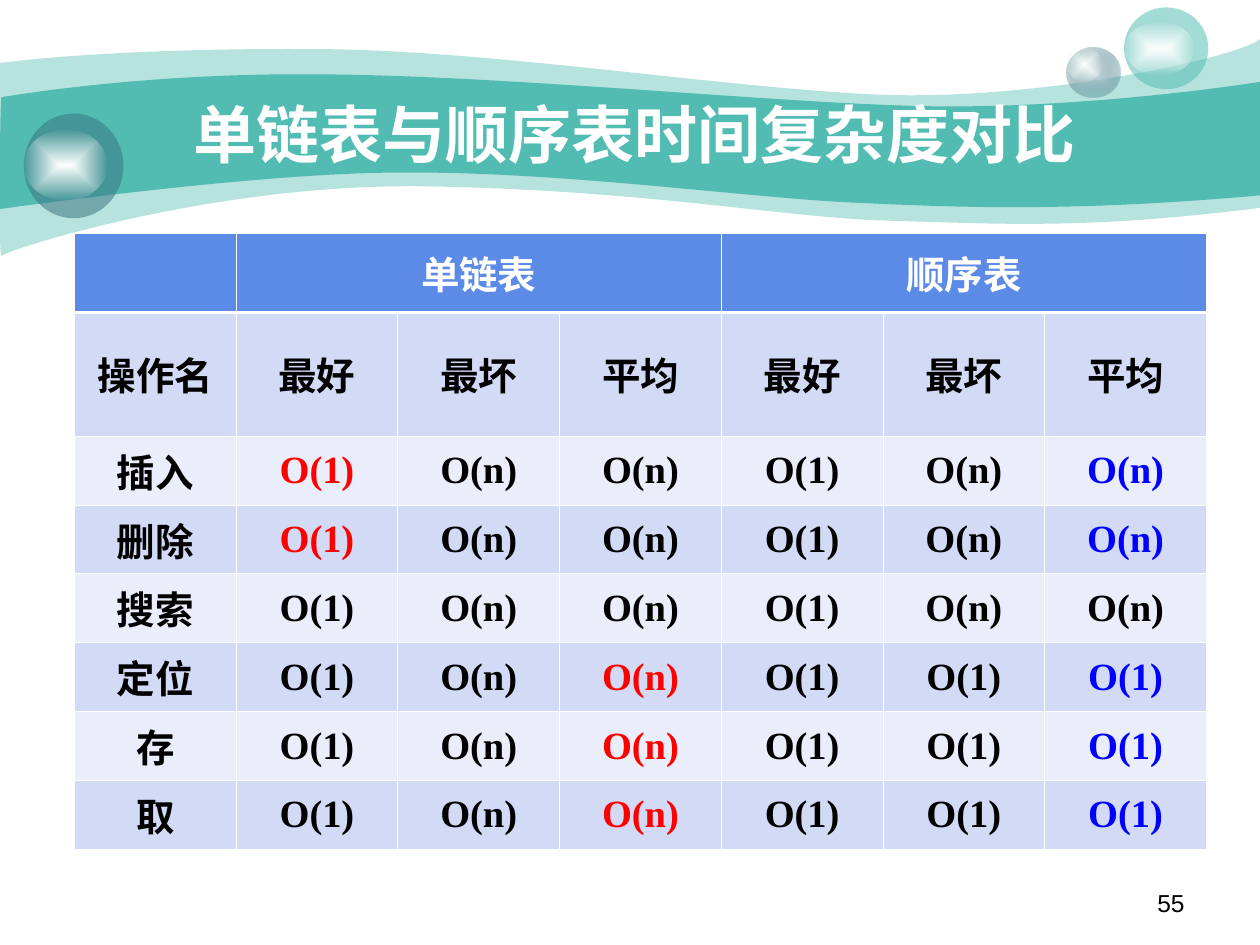
from dataclasses import dataclass
from typing import Optional

import lxml.etree
import pptx
import pptx.dml.color
import pptx.enum.shapes
import pptx.enum.text
import pptx.oxml
import pptx.oxml.ns
import pptx.util

Cm = pptx.util.Cm
Pt = pptx.util.Pt
RGBColor = pptx.dml.color.RGBColor
qn = pptx.oxml.ns.qn
Align = pptx.enum.text.PP_ALIGN
Anchor = pptx.enum.text.MSO_ANCHOR

TEAL = RGBColor(0x52, 0xBC, 0xB2)
DEEP_TEAL = RGBColor(0x37, 0x73, 0x7F)
PALE_GREY = RGBColor(0xCC, 0xDB, 0xDE)
WHITE = RGBColor(0xFF, 0xFF, 0xFF)
BLACK = RGBColor(0x00, 0x00, 0x00)
RED = RGBColor(0xFF, 0x00, 0x00)
BLUE = RGBColor(0x00, 0x00, 0xFF)
HEADER_BLUE = RGBColor(0x5C, 0x8A, 0xE7)
BAND_DARK = RGBColor(0xD2, 0xDA, 0xF6)
BAND_LIGHT = RGBColor(0xEA, 0xED, 0xFA)

SERIF = "Times New Roman"
THIN, THICK = 0.45, 1.47
COLUMN_WIDTH = 3.26
ROW_HEIGHTS = [1.6, 2.49] + [1.39] * 6


@dataclass
class Wave:
    """An outline in cm: segments of one point are lines, of three are curves."""
    start: tuple
    segments: list
    opacity: int


@dataclass
class Ball:
    """Boxes are left, top, width, height in cm."""
    box: tuple
    shine: tuple
    color: RGBColor
    opacity: int
    center: Optional[RGBColor] = None


@dataclass
class Operation:
    name: str
    costs: str
    red: Optional[int] = None
    blue: Optional[int] = None


WAVES = [
    Wave((0, 1.27), [
        [(0.61, 1.19), (2.72, 0.97), (6.27, 0.99)],
        [(9.8, 0.99), (14.61, 1.78), (17.75, 1.91)],
        [(20.88, 2.03), (24.89, 1.19), (25.4, 0.79)],
        [(25.4, 4.19)],
        [(21.79, 4.65), (19.99, 4.5), (17.91, 4.45)],
        [(15.8, 4.39), (13.08, 3.84), (8.71, 3.76)],
        [(4.37, 3.66), (0.1, 5.05), (0.03, 5.16)],
        [(-0.03, 5.28), (0, 1.91), (0, 1.27)],
    ], 41),
    Wave((0.03, 1.96), [
        [(0.05, 1.96), (2.79, 1.47), (6.3, 1.5)],
        [(9.8, 1.5), (15.11, 2.03), (18.24, 2.13)],
        [(21.36, 2.24), (24.79, 1.75), (25.4, 1.65)],
        [(25.4, 3.94)],
        [(21.67, 4.27), (19.43, 4.19), (17.32, 4.09)],
        [(15.21, 4.01), (11.35, 3.45), (8.05, 3.48)],
        [(5.16, 3.48), (-0.05, 4.22), (-0.03, 4.22)],
        [(0, 4.22), (0, 1.96), (0.03, 1.96)],
    ], 100),
]

BALLS = [
    Ball((21.51, 0.95, 1.07, 1.02), (21.51, 0.95, 0.71, 0.69), DEEP_TEAL, 31, PALE_GREY),
    Ball((22.66, 0.15, 1.7, 1.65), (22.66, 0.43, 1.42, 1.09), TEAL, 53),
    Ball((0.48, 2.29, 2.01, 2.11), (0.48, 2.62, 1.68, 1.42), DEEP_TEAL, 53),
]

OPERATIONS = [
    Operation("插入", "1nn1nn", red=1, blue=6),
    Operation("删除", "1nn1nn", red=1, blue=6),
    Operation("搜索", "1nn1nn"),
    Operation("定位", "1nn111", red=3, blue=6),
    Operation("存", "1nn111", red=3, blue=6),
    Operation("取", "1nn111", red=3, blue=6),
]


def fill_solid(shape, color: RGBColor, opacity: int) -> None:
    shape.shadow.inherit = False
    shape.line.fill.background()
    shape.fill.solid()
    shape.fill.fore_color.rgb = color
    if opacity < 100:
        color_element = shape.element.spPr.find(qn("a:solidFill"))[0]
        lxml.etree.SubElement(color_element, qn("a:alpha"), val=str(opacity * 1000))


def fill_radial(shape, center: RGBColor, edge: RGBColor, edge_opacity: int) -> None:
    fill_solid(shape, center, 100)
    solid = shape.element.spPr.find(qn("a:solidFill"))
    gradient = pptx.oxml.parse_xml(
        '<a:gradFill xmlns:a="http://schemas.openxmlformats.org/drawingml/2006/main"><a:gsLst>'
        f'<a:gs pos="0"><a:srgbClr val="{center}"/></a:gs>'
        f'<a:gs pos="100000"><a:srgbClr val="{edge}"><a:alpha val="{edge_opacity * 1000}"/>'
        '</a:srgbClr></a:gs></a:gsLst><a:path path="rect">'
        '<a:fillToRect l="50000" t="50000" r="50000" b="50000"/></a:path></a:gradFill>')
    shape.element.spPr.replace(solid, gradient)


def draw_wave(slide, wave: Wave) -> None:
    builder = slide.shapes.build_freeform(*map(Cm, wave.start), scale=1.0)
    points = [point for segment in wave.segments for point in segment]
    builder.add_line_segments([(Cm(x), Cm(y)) for x, y in points], close=True)
    shape = builder.convert_to_shape()
    # Join the three points of each curved segment into one Bézier curve
    lines = iter(list(shape.element.iter(qn("a:lnTo"))))
    for segment in wave.segments:
        members = [next(lines) for _ in segment]
        if len(members) == 3:
            curve = lxml.etree.Element(qn("a:cubicBezTo"))
            members[0].addprevious(curve)
            for member in members:
                curve.append(member[0])
                member.getparent().remove(member)
    fill_solid(shape, TEAL, wave.opacity)


def draw_ball(slide, ball: Ball) -> None:
    group = slide.shapes.add_group_shape()
    body, shine = (
        group.shapes.add_shape(pptx.enum.shapes.MSO_SHAPE.OVAL, *map(Cm, box))
        for box in (ball.box, ball.shine))
    if ball.center is None:
        fill_solid(body, ball.color, ball.opacity)
    else:
        fill_radial(body, ball.center, ball.color, ball.opacity)
    fill_radial(shine, WHITE, WHITE, 0)


def write(text_frame, text: str, size: int, color: RGBColor, align,
          font: str = SERIF, bold: bool = True) -> None:
    paragraph = text_frame.paragraphs[0]
    paragraph.text = text
    paragraph.alignment = align
    paragraph.font.name = font
    paragraph.font.size = Pt(size)
    paragraph.font.bold = bold
    paragraph.font.color.rgb = color


def style_cell(cell, row: int, fill: RGBColor) -> None:
    properties = cell._tc.get_or_add_tcPr()
    thick_side = {0: "lnB", 1: "lnT"}.get(row)
    for side in ("lnL", "lnR", "lnT", "lnB"):
        width = Pt(THICK if side == thick_side else THIN)
        border = lxml.etree.SubElement(properties, qn(f"a:{side}"), w=str(width))
        solid = lxml.etree.SubElement(border, qn("a:solidFill"))
        lxml.etree.SubElement(solid, qn("a:srgbClr"), val=str(WHITE))
    cell.fill.solid()
    cell.fill.fore_color.rgb = fill
    cell.vertical_anchor = Anchor.MIDDLE


def draw_table(slide) -> None:
    rows = [["", "单链表", "", "", "顺序表", "", ""],
            ["操作名"] + ["最好", "最坏", "平均"] * 2]
    rows += [[item.name] + [f"O({cost})" for cost in item.costs] for item in OPERATIONS]
    table = slide.shapes.add_table(
        len(rows), 7, Cm(1.5), Cm(4.7), Cm(7 * COLUMN_WIDTH), Cm(sum(ROW_HEIGHTS))).table
    for column in table.columns:
        column.width = Cm(COLUMN_WIDTH)
    for row, texts in enumerate(rows):
        table.rows[row].height = Cm(ROW_HEIGHTS[row])
        fill = HEADER_BLUE if row == 0 else (BAND_DARK if row % 2 else BAND_LIGHT)
        accents = {}
        if row >= 2:
            accents = {OPERATIONS[row - 2].red: RED, OPERATIONS[row - 2].blue: BLUE}
        for column, text in enumerate(texts):
            cell = table.cell(row, column)
            style_cell(cell, row, fill)
            if text:
                color = WHITE if row == 0 else accents.get(column, BLACK)
                write(cell.text_frame, text, 22, color, Align.CENTER)
    for first in (1, 4):
        table.cell(0, first).merge(table.cell(0, first + 2))


def main() -> None:
    presentation = pptx.Presentation()
    presentation.slide_width, presentation.slide_height = Cm(25.4), Cm(19.05)
    slide = presentation.slides.add_slide(presentation.slide_layouts[5])

    # Banner
    for wave in WAVES:
        draw_wave(slide, wave)
    for ball in BALLS:
        draw_ball(slide, ball)

    # Slide number
    number = slide.shapes.add_textbox(Cm(18.21), Cm(17.78), Cm(5.92), Cm(0.89))
    number.text_frame.word_wrap = True
    write(number.text_frame, "55", 14, BLACK, Align.RIGHT, font="Arial", bold=False)

    # Title, brought in front of the banner
    title = slide.shapes.title
    slide.shapes.element.append(title.element)
    title.left, title.top, title.width, title.height = map(Cm, (2.54, 1.9, 20.52, 1.57))
    title.text_frame.auto_size = pptx.enum.text.MSO_AUTO_SIZE.NONE
    title.text_frame.vertical_anchor = Anchor.MIDDLE
    write(title.text_frame, "单链表与顺序表时间复杂度对比", 36, WHITE, Align.CENTER)

    # Comparison table
    draw_table(slide)
    presentation.save("out.pptx")


if __name__ == "__main__":
    main()
